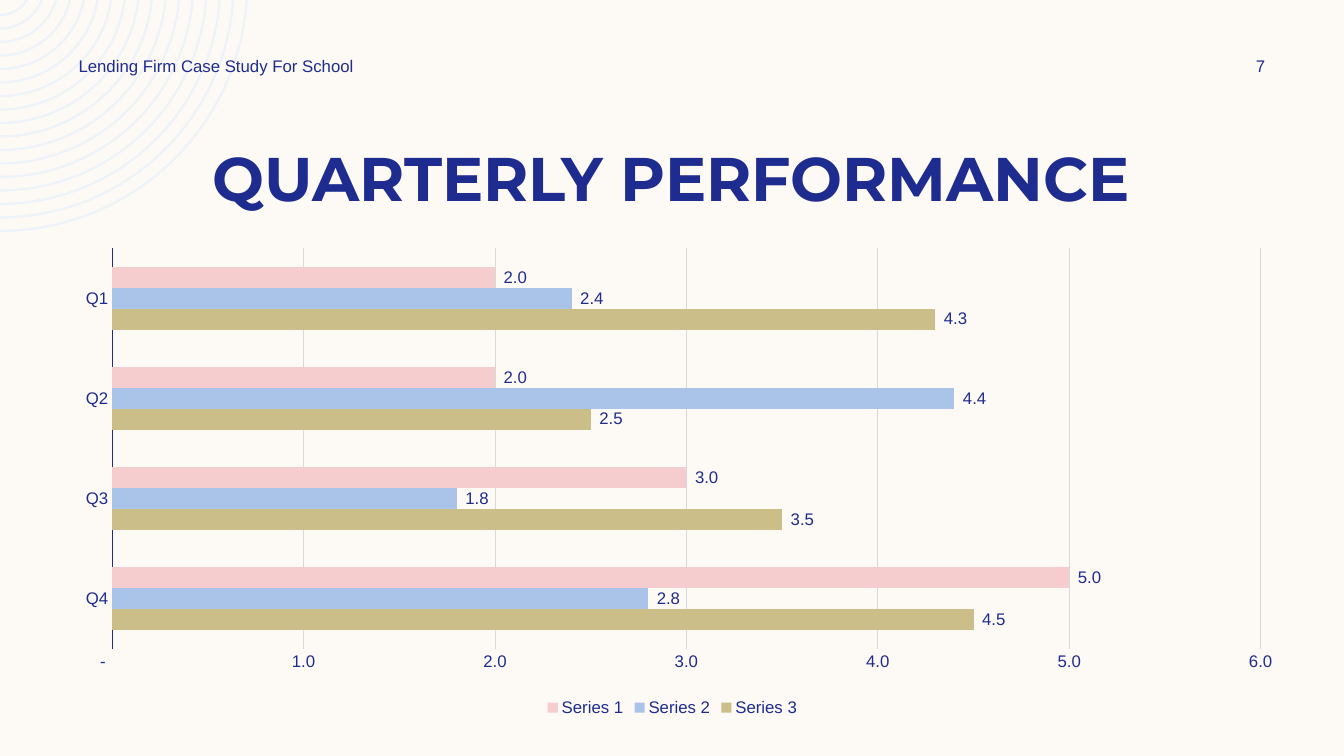
from math import asin, cos, pi

from lxml import etree
from pptx import Presentation
from pptx.chart.data import CategoryChartData
from pptx.dml.color import RGBColor
from pptx.enum.chart import XL_CHART_TYPE, XL_LABEL_POSITION, XL_LEGEND_POSITION, XL_TICK_MARK
from pptx.enum.text import MSO_ANCHOR, PP_ALIGN
from pptx.util import Cm, Pt

BAR_CLUSTERED = XL_CHART_TYPE.BAR_CLUSTERED
OUTSIDE_END = XL_LABEL_POSITION.OUTSIDE_END
LEGEND_BOTTOM = XL_LEGEND_POSITION.BOTTOM
NO_TICK = XL_TICK_MARK.NONE
MIDDLE = MSO_ANCHOR.MIDDLE
LEFT, CENTER = PP_ALIGN.LEFT, PP_ALIGN.CENTER

CREAM, NAVY, PALE_BLUE, GRID_GREY = "FDFAF6", "1F2C8F", "EEF3FA", "D9D9D9"
NUMBER_FORMAT = '_(* #,##0.0_);_(* \\(#,##0.0\\);_(* "-"??_);_(@_)'
CHART_NS = "http://schemas.openxmlformats.org/drawingml/2006/chart"
DRAW_NS = "http://schemas.openxmlformats.org/drawingml/2006/main"

QUARTERS = ["Q4", "Q3", "Q2", "Q1"]
SERIES = [
    ("Series 3", [4.5, 3.5, 2.5, 4.3], "CCBE89"),
    ("Series 2", [2.8, 1.8, 4.4, 2.4], "AAC3E8"),
    ("Series 1", [5.0, 3.0, 2.0, 2.0], "F5CDCE"),
]
PLOT_LAYOUT = [
    ("layoutTarget", "inner"), ("xMode", "edge"), ("yMode", "edge"),
    ("x", "0.043"), ("y", "0.034"), ("w", "0.937"), ("h", "0.819"),
]


def rgb(value):
    """Return a colour from a hex string."""
    return RGBColor.from_string(value)


def set_font(font, size, name="Arial", bold=False):
    """Format a font in the navy text colour."""
    font.size = Pt(size)
    font.name = name
    font.bold = bold
    font.color.rgb = rgb(NAVY)


def write_line(holder, words, size, align, name="Arial", bold=False):
    """Write one formatted line into a text box or placeholder."""
    frame = holder.text_frame
    frame.word_wrap = True
    frame.vertical_anchor = MIDDLE
    paragraph = frame.paragraphs[0]
    paragraph.alignment = align
    run = paragraph.add_run()
    run.text = words
    set_font(run.font, size, name, bold)


def add_header(slide, words, left, width, align):
    """Add a small text at the top of the slide."""
    header = slide.shapes.add_textbox(Cm(left), Cm(1.27), Cm(width), Cm(0.76))
    write_line(header, words, 12, align)


def add_title(slide, words):
    """Place and fill the title placeholder."""
    title = slide.shapes.title
    title.left, title.top = Cm(2.11), Cm(3.38)
    title.width, title.height = Cm(29.64), Cm(2.13)
    write_line(title, words, 44, CENTER, "Montserrat", True)


def add_point(outline, command, x, y):
    """Append a move or line command to an outline."""
    step = etree.SubElement(outline, f"{{{DRAW_NS}}}{command}")
    etree.SubElement(step, f"{{{DRAW_NS}}}pt", x=str(Cm(x)), y=str(Cm(y)))


def add_arc(outline, radius, start, sweep):
    """Append a circular arc, with angles in radians, to an outline."""
    etree.SubElement(
        outline, f"{{{DRAW_NS}}}arcTo", wR=str(Cm(radius)), hR=str(Cm(radius)),
        stAng=str(round(start * 10800000 / pi)), swAng=str(round(sweep * 10800000 / pi)),
    )


def add_ring(outline, outer, inner, center_y):
    """Append one ring, cut off by the slide's top and left edges."""
    outer_start, inner_start = asin(-center_y / outer), asin(-center_y / inner)
    add_point(outline, "moveTo", outer * cos(outer_start), 0)
    add_arc(outline, outer, outer_start, pi / 2 - outer_start)
    add_point(outline, "lnTo", 0, center_y + inner)
    add_arc(outline, inner, pi / 2, inner_start - pi / 2)
    etree.SubElement(outline, f"{{{DRAW_NS}}}close")


def add_rings(slide, count=17, outer=6.26, gap=0.34, thickness=0.06, center_y=-0.41):
    """Draw the concentric corner rings as one outline behind the title."""
    right, bottom = Cm(outer * cos(asin(-center_y / outer))), Cm(outer + center_y)
    builder = slide.shapes.build_freeform(0, 0, scale=1.0)
    builder.add_line_segments([(right, 0), (right, bottom), (0, bottom)])
    rings = builder.convert_to_shape()
    outline = rings.element.find(f".//{{{DRAW_NS}}}pathLst")[0]
    for command in list(outline):
        outline.remove(command)
    for index in range(count):
        radius = outer - index * gap
        add_ring(outline, radius, radius - thickness, center_y)
    rings.shadow.inherit = False
    rings.fill.solid()
    rings.fill.fore_color.rgb = rgb(PALE_BLUE)
    rings.line.fill.background()
    slide.shapes.title.element.addprevious(rings.element)


def set_plot_layout(chart):
    """Fix the inner plot area inside the chart frame."""
    plot_area = chart.element.find(f".//{{{CHART_NS}}}plotArea")
    for old_layout in plot_area.findall(f"{{{CHART_NS}}}layout"):
        plot_area.remove(old_layout)
    layout = etree.Element(f"{{{CHART_NS}}}layout")
    manual = etree.SubElement(layout, f"{{{CHART_NS}}}manualLayout")
    for tag, value in PLOT_LAYOUT:
        etree.SubElement(manual, f"{{{CHART_NS}}}{tag}").set("val", value)
    plot_area.insert(0, layout)


def format_axes(chart):
    """Format the quarter axis and the value axis."""
    quarters, values = chart.category_axis, chart.value_axis
    for axis in (quarters, values):
        axis.major_tick_mark = axis.minor_tick_mark = NO_TICK
        set_font(axis.tick_labels.font, 12)
    quarters.has_major_gridlines = False
    quarters.format.line.color.rgb = rgb(NAVY)
    quarters.format.line.width = Pt(0.75)
    values.minimum_scale, values.maximum_scale, values.major_unit = 0, 6, 1
    values.format.line.fill.background()
    values.has_major_gridlines = True
    values.major_gridlines.format.line.color.rgb = rgb(GRID_GREY)
    values.major_gridlines.format.line.width = Pt(0.75)
    values.tick_labels.number_format = NUMBER_FORMAT
    values.tick_labels.number_format_is_linked = False


def format_series(series, color):
    """Colour a series and show its values past the bar ends."""
    series.format.fill.solid()
    series.format.fill.fore_color.rgb = rgb(color)
    series.invert_if_negative = False
    labels = series.data_labels
    labels.show_value = True
    labels.position = OUTSIDE_END
    labels.number_format = NUMBER_FORMAT
    labels.number_format_is_linked = False
    set_font(labels.font, 12)


def add_quarterly_chart(slide):
    """Add the clustered bar chart of the quarters."""
    data = CategoryChartData(number_format=NUMBER_FORMAT)
    data.categories = QUARTERS
    for name, values, _ in SERIES:
        data.add_series(name, values)
    chart = slide.shapes.add_chart(
        BAR_CLUSTERED, Cm(1.5), Cm(5.84), Cm(30.89), Cm(12.32), data
    ).chart
    set_font(chart.font, 10)
    chart.has_title = False
    chart.has_legend = True
    chart.legend.position = LEGEND_BOTTOM
    chart.legend.include_in_layout = False
    set_font(chart.legend.font, 12)
    plot = chart.plots[0]
    plot.gap_width = 182
    plot.vary_by_categories = False
    for series, (_, _, color) in zip(plot.series, SERIES):
        format_series(series, color)
    format_axes(chart)
    set_plot_layout(chart)


def main():
    """Build and save the quarterly performance slide."""
    deck = Presentation()
    deck.slide_width, deck.slide_height = Cm(33.87), Cm(19.05)
    slide = deck.slides.add_slide(deck.slide_layouts[5])
    slide.background.fill.solid()
    slide.background.fill.fore_color.rgb = rgb(CREAM)
    add_rings(slide)
    add_title(slide, "QUARTERLY PERFORMANCE")
    add_quarterly_chart(slide)
    add_header(slide, "Lending Firm Case Study For School", 1.73, 8.89, LEFT)
    add_header(slide, "7", 30.4, 2.74, CENTER)
    deck.save("out.pptx")


if __name__ == "__main__":
    main()
